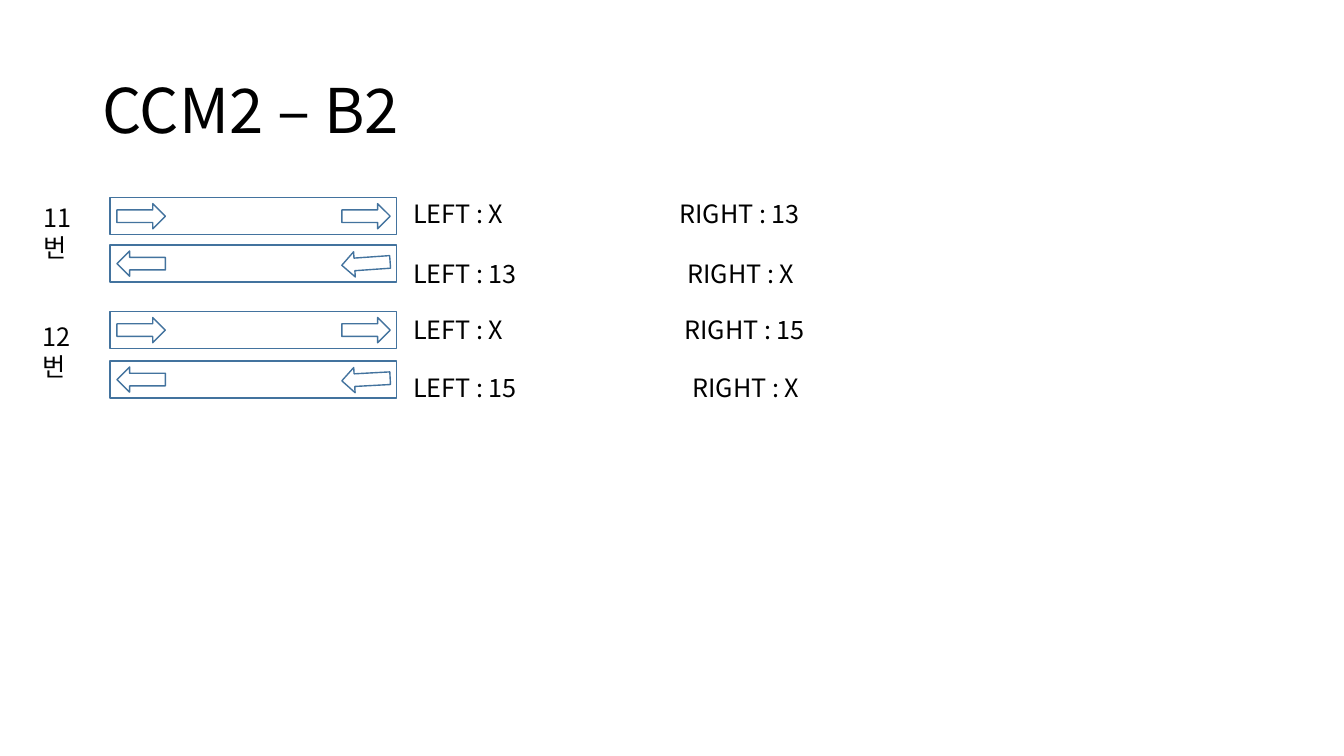
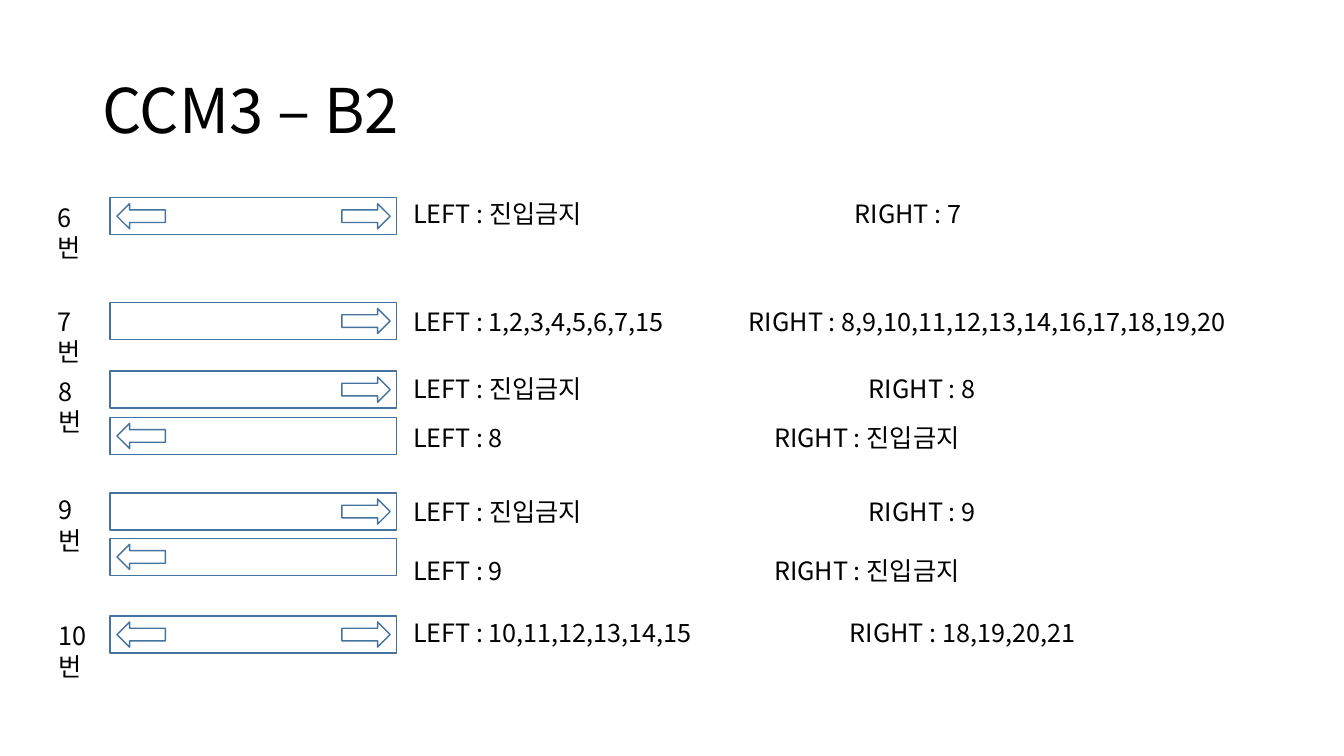
from dataclasses import dataclass
from typing import Optional

import pptx
import pptx.dml.color
import pptx.enum.shapes
import pptx.enum.text
import pptx.oxml.ns
import pptx.util
from lxml import etree
from pptx.util import Inches

COLORS = {"text": "000000", "outline": "43739E"}
FONT = "Noto Sans CJK KR"
LANE_LEFT, LANE_WIDTH, LANE_HEIGHT = 1.09, 2.84, 0.37
ARROW_WIDTH, ARROW_HEIGHT, ARROW_DROP = 0.48, 0.25, 0.06
LEFT_ARROW_X, RIGHT_ARROW_X = 1.16, 3.39
ROUTE_LEFT, LINE_HEIGHT = 4, 0.4
LABEL_WIDTH = 0.52
FORWARD, BACKWARD = 0, 180
NO_ENTRY = "진입금지"


@dataclass(frozen=True)
class Label:
    text: str
    left: float
    top: float


@dataclass(frozen=True)
class Lane:
    """A lane with its arrow rotations, and the routes written beside it."""
    top: float
    left_arrow: Optional[float]
    right_arrow: Optional[float]
    route_top: float
    left_route: str
    right_route: str
    tab: float


@dataclass(frozen=True)
class Page:
    title: str
    route_width: float
    labels: tuple[Label, ...]
    lanes: tuple[Lane, ...]


PAGES = (
    Page(
        "CCM2 – B2", 5.1,
        (Label("11번", 0.33, 1.96), Label("12번", 0.32, 3.14)),
        (
            Lane(1.96, FORWARD, FORWARD, 1.92, "X", "13", 2.64),
            Lane(2.43, BACKWARD, 176, 2.51, "13", "X", 2.72),
            Lane(3.09, FORWARD, FORWARD, 3.07, "X", "15", 2.69),
            Lane(3.58, BACKWARD, 176.9, 3.64, "15", "X", 2.77),
        ),
    ),
    Page(
        "CCM3 – B2", 8.64,
        (
            Label("6번", 0.47, 1.96),
            Label("7번", 0.47, 2.99),
            Label("8번", 0.48, 3.68),
            Label("9번", 0.48, 4.86),
            Label("10번", 0.48, 6.11),
        ),
        (
            Lane(1.96, BACKWARD, FORWARD, 1.92, NO_ENTRY, "7", 4.38),
            Lane(3.0, None, FORWARD, 2.99, "1,2,3,4,5,6,7,15",
                 "8,9,10,11,12,13,14,16,17,18,19,20", 3.33),
            Lane(3.68, None, FORWARD, 3.65, NO_ENTRY, "8", 4.52),
            Lane(4.14, BACKWARD, None, 4.14, "8", NO_ENTRY, 3.58),
            Lane(4.89, None, FORWARD, 4.87, NO_ENTRY, "9", 4.52),
            Lane(5.34, BACKWARD, None, 5.46, "9", NO_ENTRY, 3.58),
            Lane(6.11, BACKWARD, FORWARD, 6.08, "10,11,12,13,14,15",
                 "18,19,20,21", 4.33),
        ),
    ),
)


def add_text(slide, text: str, left: float, top: float, width: float,
             height: float = LINE_HEIGHT, *, size: float = 18,
             anchor=pptx.enum.text.MSO_ANCHOR.TOP,
             line_spacing: Optional[float] = None,
             tab: Optional[float] = None) -> None:
    box = slide.shapes.add_textbox(
        Inches(left), Inches(top), Inches(width), Inches(height))
    frame = box.text_frame
    frame.word_wrap = True
    frame.vertical_anchor = anchor
    paragraph = frame.paragraphs[0]
    if line_spacing is not None:
        paragraph.line_spacing = line_spacing
    qualified = pptx.oxml.ns.qn
    if tab is not None:
        properties = paragraph._p.get_or_add_pPr()
        stops = etree.SubElement(properties, qualified("a:tabLst"))
        etree.SubElement(stops, qualified("a:tab"),
                         pos=str(Inches(tab)), algn="l")
    run = paragraph.add_run()
    run.text = text
    run.font.name = FONT
    run.font.size = pptx.util.Pt(size)
    run.font.color.rgb = pptx.dml.color.RGBColor.from_string(COLORS["text"])
    etree.SubElement(run._r.get_or_add_rPr(), qualified("a:ea"), typeface=FONT)


def add_outline(slide, kind, left: float, top: float, width: float,
                height: float, rotation: float = 0) -> None:
    """Add an unfilled preset shape."""
    shape = slide.shapes.add_shape(
        kind, Inches(left), Inches(top), Inches(width), Inches(height))
    shape.rotation = rotation
    shape.shadow.inherit = False
    shape.fill.background()
    shape.line.width = pptx.util.Pt(1)
    shape.line.color.rgb = pptx.dml.color.RGBColor.from_string(
        COLORS["outline"])


def add_lane(slide, lane: Lane, route_width: float) -> None:
    kinds = pptx.enum.shapes.MSO_SHAPE
    add_outline(slide, kinds.RECTANGLE, LANE_LEFT, lane.top,
                LANE_WIDTH, LANE_HEIGHT)
    for left, rotation in ((LEFT_ARROW_X, lane.left_arrow),
                           (RIGHT_ARROW_X, lane.right_arrow)):
        if rotation is not None:
            add_outline(slide, kinds.RIGHT_ARROW, left, lane.top + ARROW_DROP,
                        ARROW_WIDTH, ARROW_HEIGHT, rotation)
    add_text(slide, f"LEFT : {lane.left_route}\tRIGHT : {lane.right_route}",
             ROUTE_LEFT, lane.route_top, route_width, tab=lane.tab)


def add_page(presentation, page: Page) -> None:
    slide = presentation.slides.add_slide(presentation.slide_layouts[6])
    add_text(slide, page.title, 0.92, 0.4, 11.5, 1.45, size=44,
             anchor=pptx.enum.text.MSO_ANCHOR.MIDDLE, line_spacing=0.9)
    for label in page.labels:
        add_text(slide, label.text, label.left, label.top, LABEL_WIDTH)
    for lane in page.lanes:
        add_lane(slide, lane, page.route_width)


def main() -> None:
    presentation = pptx.Presentation()
    presentation.slide_width = Inches(13.33)
    presentation.slide_height = Inches(7.5)
    for page in PAGES:
        add_page(presentation, page)
    presentation.save("out.pptx")


if __name__ == "__main__":
    main()
